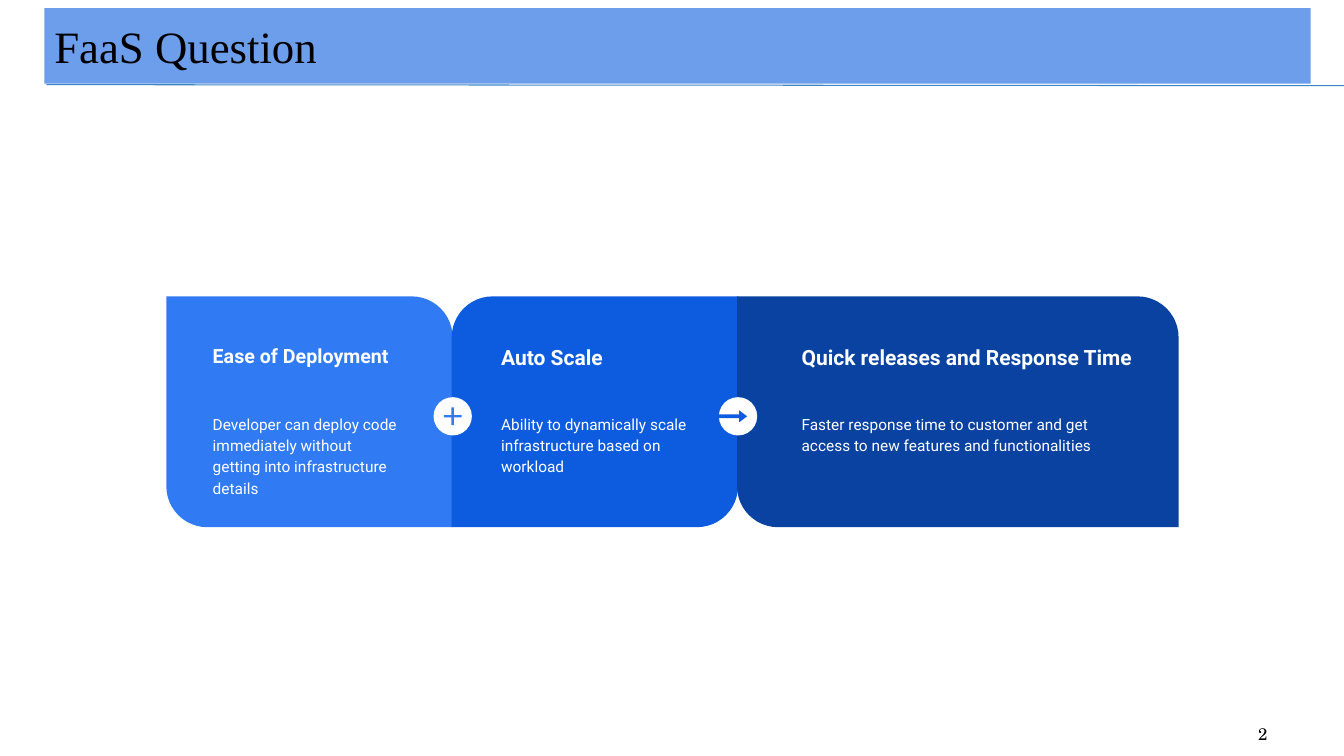
from dataclasses import dataclass

from lxml import etree
from pptx import Presentation
from pptx.dml.color import RGBColor
from pptx.enum.shapes import MSO_CONNECTOR, MSO_SHAPE
from pptx.enum.text import MSO_ANCHOR, PP_ALIGN
from pptx.oxml.ns import qn
from pptx.util import Pt

PX = 9144  # EMU per px, 100 px to the inch


@dataclass(frozen=True)
class Theme:
    banner: str = "6D9EEB"
    rule: str = "3D85C6"
    ink: str = "000000"
    paper: str = "FFFFFF"
    light: str = "307AF3"
    medium: str = "0D5CDF"
    dark: str = "0942A1"
    title_font: str = "Times New Roman"
    number_font: str = "TeX Gyre Schola"
    panel_font: str = "Roboto"
    title_size: int = 32
    number_size: int = 12
    heading_size: int = 15
    small_heading_size: int = 14
    body_size: int = 11


theme = Theme()
prs = Presentation()
prs.slide_width, prs.slide_height = 1333 * PX, 750 * PX
slide = prs.slides.add_slide(prs.slide_layouts[6])


def add_filled(preset, box, color, adjustments=()):
    shape = slide.shapes.add_shape(preset, *(v * PX for v in box))
    shape.shadow.inherit = False
    shape.fill.solid()
    shape.fill.fore_color.rgb = RGBColor.from_string(color)
    shape.line.fill.background()
    for i, value in enumerate(adjustments):
        shape.adjustments[i] = value
    return shape


def write(shape, text, font, size, color, inset=(10, 5), bold=False,
          anchor=MSO_ANCHOR.MIDDLE, align=PP_ALIGN.LEFT):
    """Put one run into the shape and return its paragraph; inset is (x, y) in px."""
    frame = shape.text_frame
    frame.word_wrap = True
    frame.vertical_anchor = anchor
    frame.margin_left = frame.margin_right = inset[0] * PX
    frame.margin_top = frame.margin_bottom = inset[1] * PX
    paragraph = frame.paragraphs[0]
    paragraph.alignment = align
    run = paragraph.add_run()
    run.text = text
    run.font.name, run.font.size, run.font.bold = font, Pt(size), bold
    run.font.color.rgb = RGBColor.from_string(color)
    return paragraph


# Title banner with its rule, and slide number
rule = slide.shapes.add_connector(
    MSO_CONNECTOR.STRAIGHT, 46 * PX, 84 * PX, 1333 * PX, 85 * PX)
rule.line.color.rgb = RGBColor.from_string(theme.rule)
rule.line.width = Pt(0.75)
etree.SubElement(rule._element.spPr, qn("a:effectLst"))

banner = add_filled(MSO_SHAPE.RECTANGLE, (44, 8, 1256, 75), theme.banner)
write(banner, "FaaS Question", theme.title_font, theme.title_size, theme.ink)

number = slide.shapes.add_textbox(956 * PX, 708 * PX, 311 * PX, 40 * PX)
write(number, "2", theme.number_font, theme.number_size, theme.ink,
      align=PP_ALIGN.RIGHT)

# Three benefit panels: left, width, color, rounded corners,
# text left, heading width, body width, heading size, heading, body
ROUND = 0.178
RISING, FALLING = (0, ROUND), (ROUND, 0)
benefits = [
    (165, 284, theme.light, RISING, 198, 212, 212, theme.small_heading_size,
     "Ease of Deployment",
     "Developer can deploy code immediately without getting into infrastructure details"),
    (448, 284, theme.medium, FALLING, 484, 212, 212, theme.heading_size,
     "Auto Scale",
     "Ability to dynamically scale infrastructure based on workload"),
    (731, 438, theme.dark, RISING, 782, 375, 352, theme.heading_size,
     "Quick releases and Response Time",
     "Faster response time to customer and get access to new features and functionalities"),
]
for (left, width, color, corners, text_left, heading_width, body_width,
     heading_size, heading, body) in benefits:
    add_filled(MSO_SHAPE.ROUND_2_DIAG_RECTANGLE, (left, 294, width, 229), color, corners)
    for text, top, text_width, height, size, bold in (
            (heading, 329, heading_width, 67, heading_size, True),
            (body, 396, body_width, 75, theme.body_size, False)):
        box = slide.shapes.add_textbox(
            text_left * PX, top * PX, text_width * PX, height * PX)
        paragraph = write(box, text, theme.panel_font, size, theme.paper,
                          (13, 13), bold, MSO_ANCHOR.TOP)
        if not bold:
            paragraph.line_spacing = 1.15
            paragraph.space_after = Pt(21)

# Round badges on the seams between panels
badges = [
    (713, MSO_SHAPE.RIGHT_ARROW, (712, 407, 29, 12), theme.medium, (0.32, 0.67)),
    (430, MSO_SHAPE.MATH_PLUS, (437, 401, 24, 24), theme.light, (0.099,)),
]
for left, symbol, symbol_box, color, adjustments in badges:
    add_filled(MSO_SHAPE.OVAL, (left, 394, 38, 38), theme.paper)
    add_filled(symbol, symbol_box, color, adjustments)

prs.save("out.pptx")
